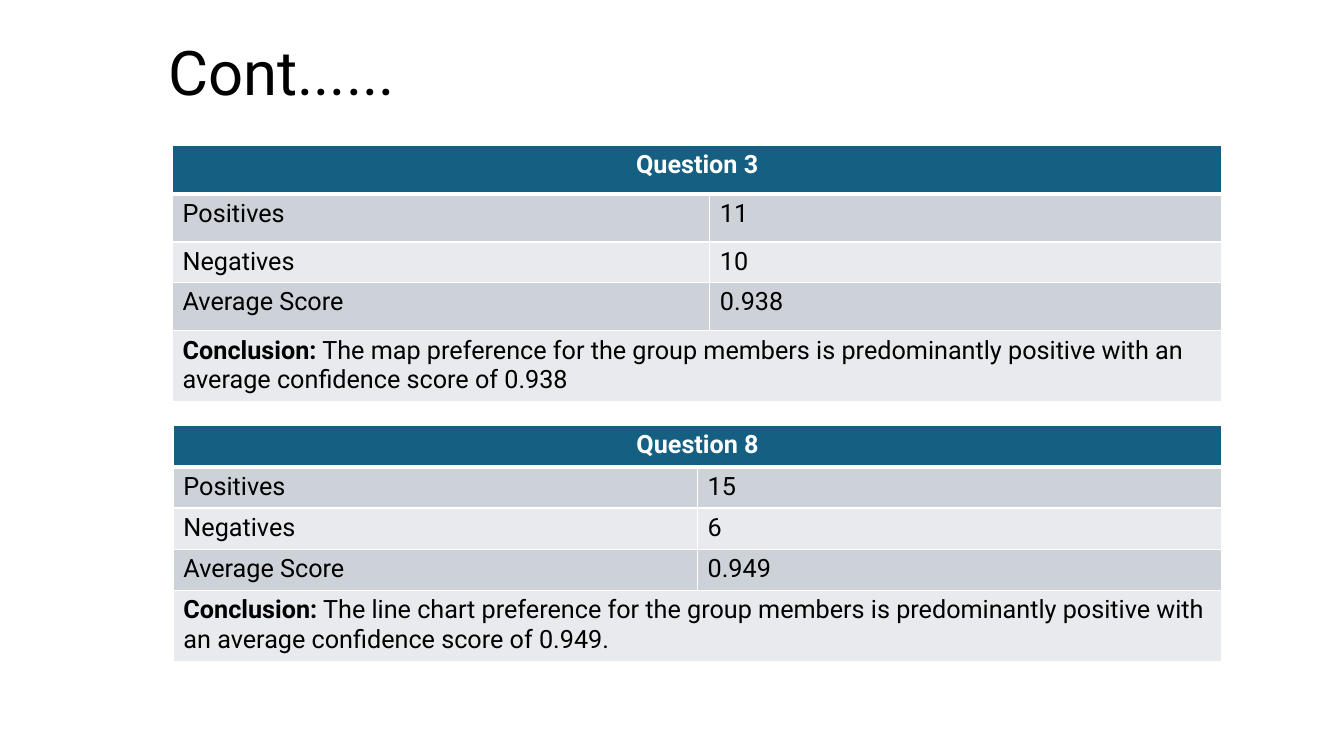
from lxml.etree import SubElement
from pptx import Presentation
from pptx.dml.color import RGBColor
from pptx.enum.text import MSO_ANCHOR, PP_ALIGN
from pptx.oxml.ns import qn
from pptx.util import Cm, Pt

FONT = "Roboto"
COLORS = {
    "header": "156082",
    "dark_band": "CCD2D8",
    "light_band": "E8EAED",
    "white": "FFFFFF",
    "black": "000000",
}


def color(name):
    return RGBColor.from_string(COLORS[name])


def style_font(p, size, name):
    p.font.name = FONT
    p.font.size = Pt(size)
    p.font.color.rgb = color(name)


def add_title(s, text):
    box = s.shapes.add_textbox(Cm(0), Cm(0.03), Cm(14.2), Cm(3.73))
    tf = box.text_frame
    tf.word_wrap = True
    tf.vertical_anchor = MSO_ANCHOR.MIDDLE
    p = tf.paragraphs[0]
    p.text = text
    p.alignment = PP_ALIGN.CENTER
    p.line_spacing = 0.9
    style_font(p, 44, "black")


def add_borders(cell, top, bottom):
    tcPr = cell._tc.get_or_add_tcPr()
    widths = {"a:lnL": 1, "a:lnR": 1, "a:lnT": top, "a:lnB": bottom}
    for side, width in widths.items():
        ln = SubElement(tcPr, qn(side), w=str(Pt(width)))
        fill = SubElement(ln, qn("a:solidFill"))
        SubElement(fill, qn("a:srgbClr"), val=COLORS["white"])


def add_score_table(s, left, top, col_widths, row_heights, question, scores, conclusion):
    last = len(row_heights) - 1
    frame = s.shapes.add_table(len(row_heights), len(col_widths), Cm(left), Cm(top),
                               Cm(sum(col_widths)), Cm(sum(row_heights)))
    table = frame.table
    for col, width in zip(table.columns, col_widths):
        col.width = Cm(width)
    for row, height in zip(table.rows, row_heights):
        row.height = Cm(height)

    # Header and conclusion span both columns
    for i in (0, last):
        table.cell(i, 0).merge(table.cell(i, 1))

    # Wording
    rows = [(question,), *scores, ("",)]
    for i, texts in enumerate(rows):
        for j, text in enumerate(texts):
            p = table.cell(i, j).text_frame.paragraphs[0]
            p.text = text
            style_font(p, 18, "black" if i else "white")
            p.font.bold = i == 0
            if i == 0:
                p.alignment = PP_ALIGN.CENTER
    p = table.cell(last, 0).text_frame.paragraphs[0]
    for text, bold in (("Conclusion:", True), (" " + conclusion, False)):
        r = p.add_run()
        r.text = text
        r.font.bold = bold

    # Borders and bands
    for i, row in enumerate(table.rows):
        band = "header" if i == 0 else "dark_band" if i % 2 else "light_band"
        for cell in row.cells:
            add_borders(cell, top=3 if i == 1 else 1, bottom=3 if i == 0 else 1)
            cell.fill.solid()
            cell.fill.fore_color.rgb = color(band)


def main():
    prs = Presentation()
    prs.slide_width, prs.slide_height = Cm(33.87), Cm(19.05)
    s = prs.slides.add_slide(prs.slide_layouts[6])

    add_title(s, "Cont......")
    add_score_table(
        s, 4.37, 10.72, [13.21, 13.21], [1.04] * 4 + [1.73], "Question 8",
        [("Positives", "15"), ("Negatives", "6"), ("Average Score", "0.949")],
        "The line chart preference for the group members is predominantly "
        "positive with an average confidence score of 0.949.")
    add_score_table(
        s, 4.35, 3.66, [13.54, 12.9], [1.22, 1.22, 0.99, 1.22, 1.73], "Question 3",
        [("Positives", "11"), ("Negatives", "10"), ("Average Score", "0.938")],
        "The map preference for the group members is predominantly "
        "positive with an average confidence score of 0.938")

    prs.save("out.pptx")


if __name__ == "__main__":
    main()
